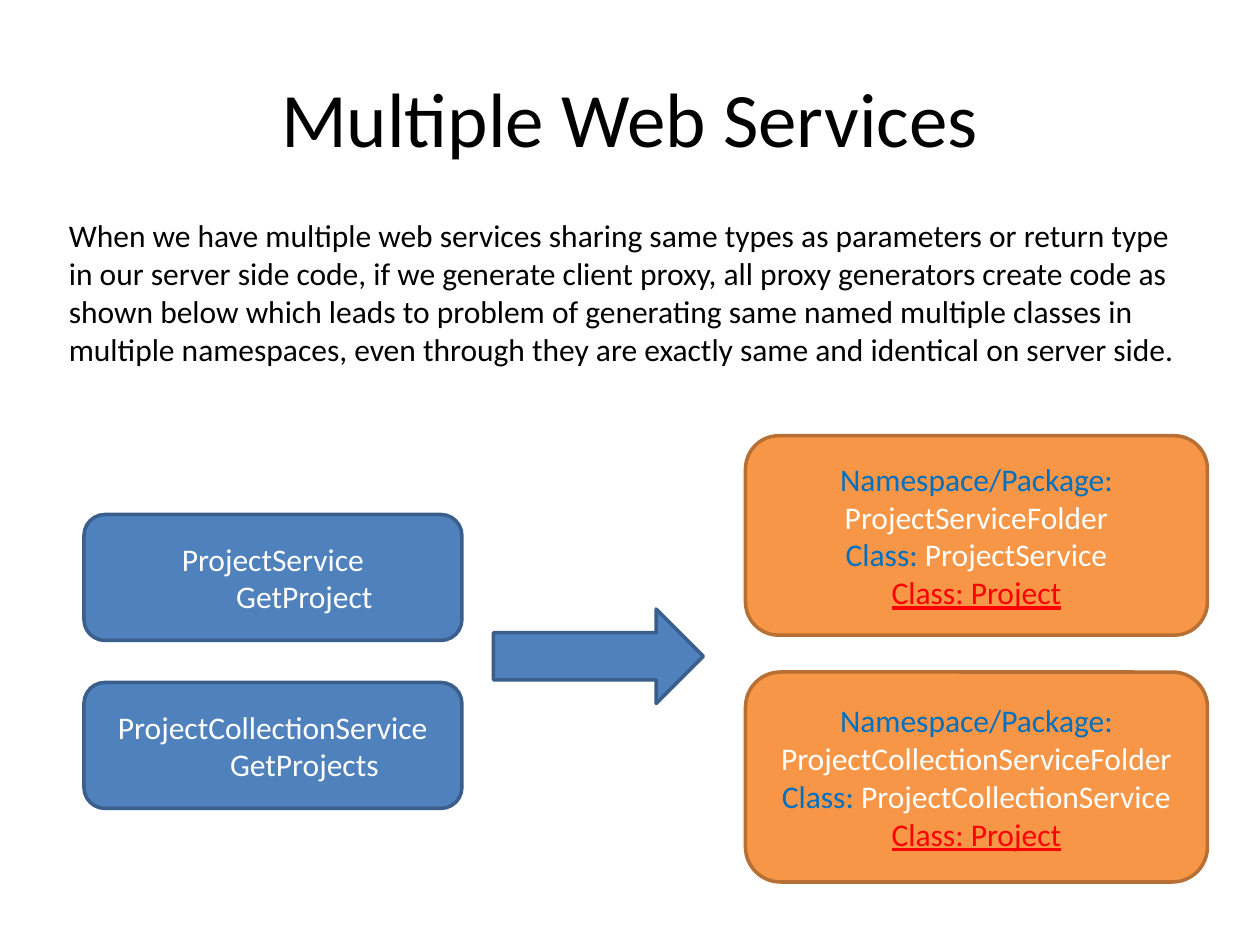
import pptx
import pptx.util
import pptx.dml.color
import pptx.enum.shapes
import pptx.enum.text

PX = 9525  # EMU per px, 96 px to the inch
FONT = "Calibri"
COLORS = {
    "black": "000000", "white": "FFFFFF", "label": "0070C0", "clash": "FF0000",
    "blue": "4F81BD", "blue_edge": "3A5F8C",
    "orange": "F79646", "orange_edge": "B76F34",
}
SHAPE = pptx.enum.shapes.MSO_SHAPE
ALIGN = pptx.enum.text.PP_ALIGN
ANCHOR = pptx.enum.text.MSO_ANCHOR

TITLE = "Multiple Web Services"
INTRO = (
    "When we have multiple web services sharing same types as parameters or "
    "return type in our server side code, if we generate client proxy, all proxy "
    "generators create code as shown below which leads to problem of generating "
    "same named multiple classes in multiple namespaces, even through they are "
    "exactly same and identical on server side."
)
# service, method, top of service box, top and height of generated-code box
SERVICES = [
    ("ProjectService", "GetProject", 392, 332, 152),
    ("ProjectCollectionService", "GetProjects", 520, 512, 160),
]


def color(name):
    return pptx.dml.color.RGBColor.from_string(COLORS[name])


def write(sp, paragraphs, size=18, align=ALIGN.CENTER, anchor=ANCHOR.MIDDLE):
    """Fill a shape with paragraphs, each a list of (text, colour name) runs."""
    tf = sp.text_frame
    tf.word_wrap = True
    tf.vertical_anchor = anchor
    for i, runs in enumerate(paragraphs):
        p = tf.add_paragraph() if i else tf.paragraphs[0]
        p.alignment = align
        for text, name in runs:
            r = p.add_run()
            r.text = text
            r.font.name = FONT
            r.font.size = pptx.util.Pt(size)
            r.font.color.rgb = color(name)
            if name == "clash":
                r.font.underline = True


def add_box(slide, kind, fill, *px):
    sp = slide.shapes.add_shape(kind, *(v * PX for v in px))
    sp.shadow.inherit = False
    sp.fill.solid()
    sp.fill.fore_color.rgb = color(fill)
    sp.line.color.rgb = color(fill + "_edge")
    sp.line.width = pptx.util.Pt(2)
    return sp


def add_text(slide, *px):
    return slide.shapes.add_textbox(*(v * PX for v in px))


def main():
    prs = pptx.Presentation()
    prs.slide_width, prs.slide_height = 960 * PX, 720 * PX
    slide = prs.slides.add_slide(prs.slide_layouts[6])

    write(add_text(slide, 48, 29, 864, 120), [[(TITLE, "black")]], size=44)
    write(add_text(slide, 43, 160, 880, 126), [[(INTRO, "black")]],
          align=ALIGN.LEFT, anchor=ANCHOR.TOP)

    for service, method, top, code_top, code_height in SERVICES:
        box = add_box(slide, SHAPE.ROUNDED_RECTANGLE, "blue", 64, top, 288, 96)
        write(box, [[(service, "white")], [("\t" + method, "white")]])

        code = add_box(slide, SHAPE.ROUNDED_RECTANGLE, "orange",
                       568, code_top, 352, code_height)
        write(code, [
            [("Namespace/Package: ", "label"), (service + "Folder", "white")],
            [("Class: ", "label"), (service, "white")],
            [("Class: Project", "clash")],
        ])

    add_box(slide, SHAPE.RIGHT_ARROW, "blue", 376, 464, 160, 72)
    prs.save("out.pptx")


if __name__ == "__main__":
    main()
